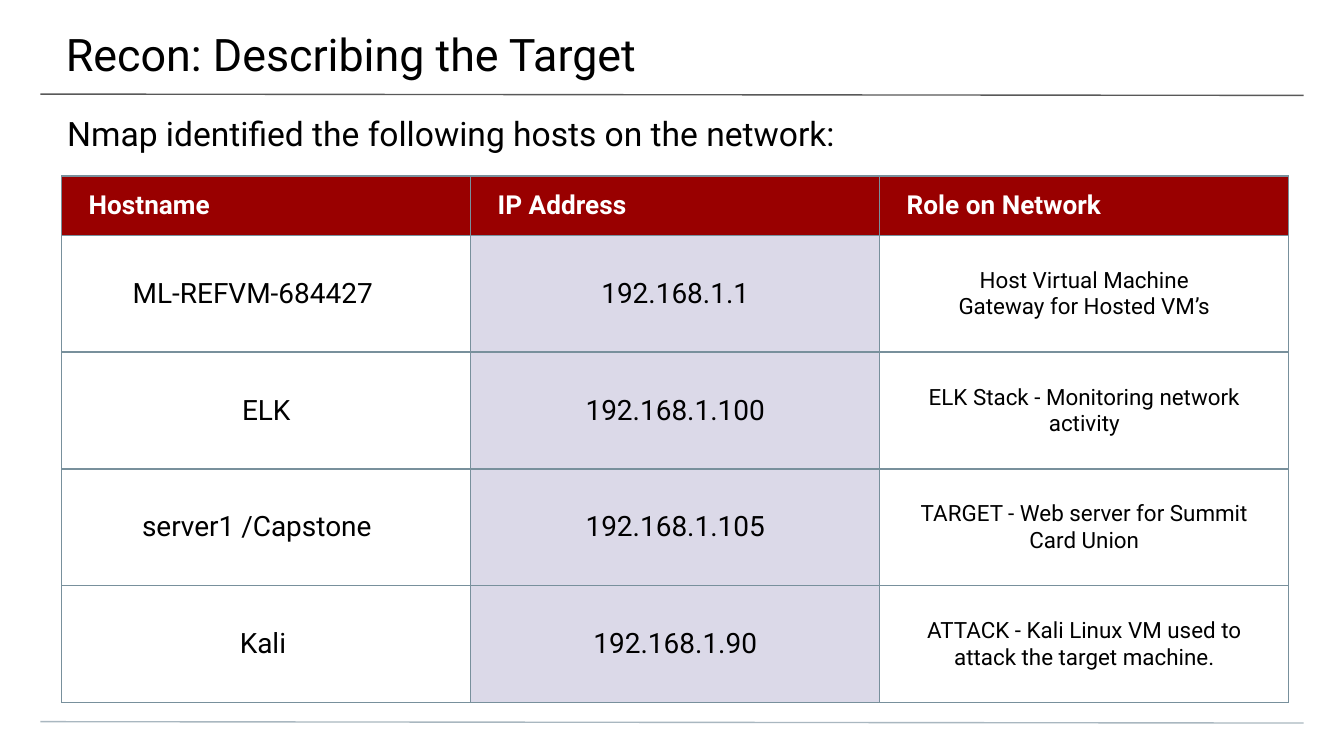
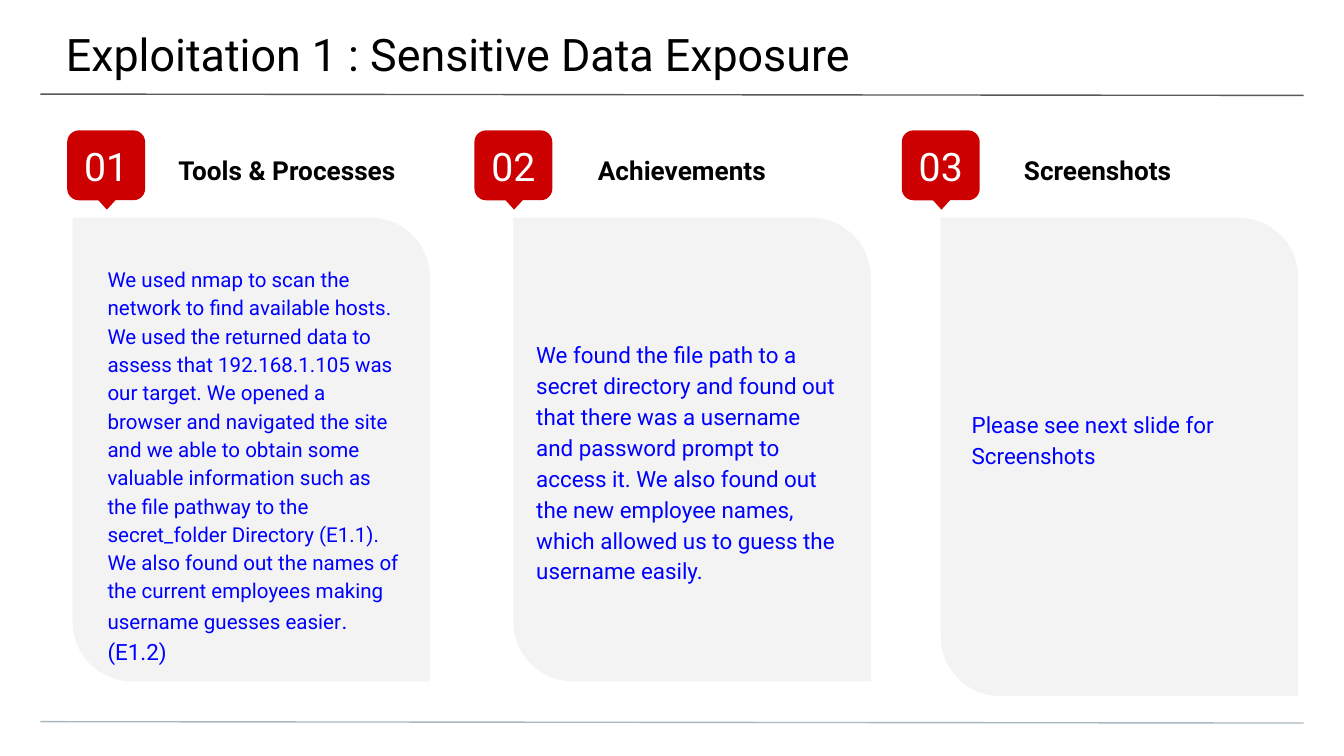
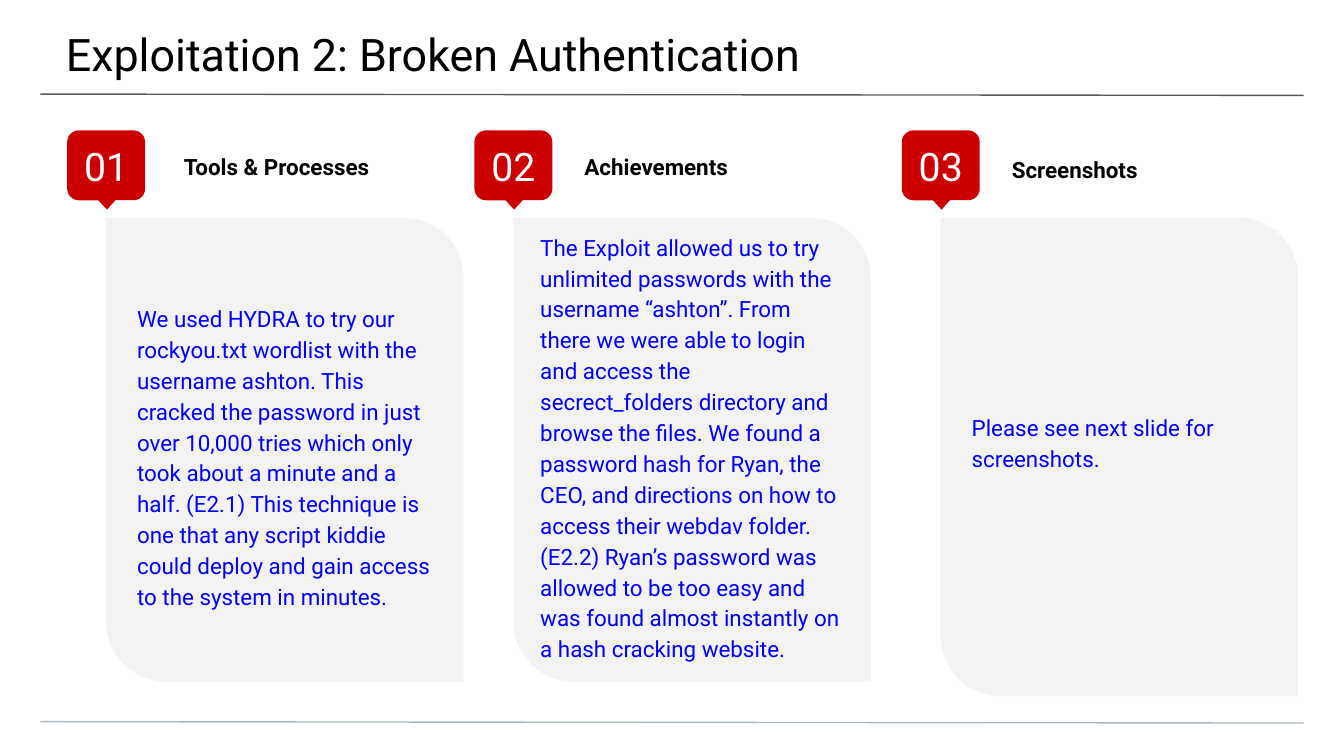
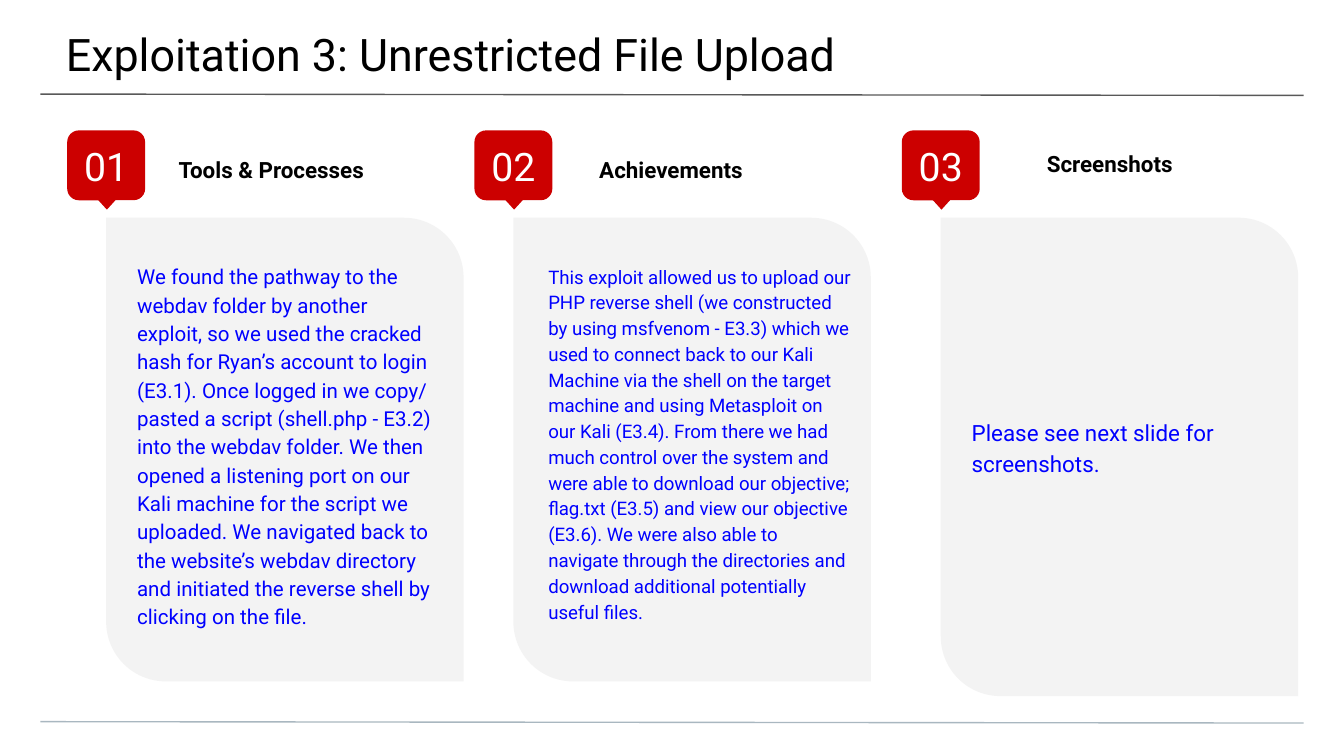
from lxml import etree
from pptx import Presentation
from pptx.dml.color import RGBColor
from pptx.enum import shapes, text
from pptx.oxml import ns
from pptx.util import Inches, Pt

FONT = "Roboto"
BLACK = RGBColor(0x00, 0x00, 0x00)
WHITE = RGBColor(0xFF, 0xFF, 0xFF)
BLUE = RGBColor(0x00, 0x00, 0xFF)
RED = RGBColor(0xCC, 0x00, 0x00)
DARK_RED = RGBColor(0x99, 0x00, 0x00)
LAVENDER = RGBColor(0xDB, 0xD9, 0xE8)
PANEL_GRAY = RGBColor(0xF3, 0xF3, 0xF3)
TITLE_RULE = RGBColor(0x59, 0x59, 0x59)
FOOTER_RULE = RGBColor(0xA9, 0xB7, 0xC0)
TABLE_BORDER = RGBColor(0x78, 0x90, 0x9C)

BADGE_LEFTS = (0.5, 3.53, 6.71)
PANEL_HEIGHTS = (3.45, 3.45, 3.56)

HOSTS = [
    ("ML-REFVM-684427", "192.168.1.1",
     "Host Virtual Machine\nGateway for Hosted VM’s", 0.4),
    ("ELK", "192.168.1.100", "ELK Stack - Monitoring network activity", 0.2),
    ("server1 /Capstone", "192.168.1.105",
     "TARGET - Web server for Summit Card Union", 0.34),
    ("Kali", "192.168.1.90",
     "ATTACK - Kali Linux VM used to attack the target machine.", 0.25),
]

EXPLOITS = [
    {
        "title": "Exploitation 1 : Sensitive Data Exposure",
        "panel_lefts": (0.54, 3.82, 7),
        "heading_size": 14,
        "headings": [(1.23, 1.05, 1.97, 0.44), (4.35, 1.05, 1.75, 0.44),
                     (7.52, 1.05, 1.75, 0.44)],
        "bodies": [
            ((0.6, 1.76, 2.59, 3.25), [
                ("We used nmap to scan the network to find available hosts. "
                 "We used the returned data to assess that 192.168.1.105 was "
                 "our target. We opened a browser and navigated the site and "
                 "we able to obtain some valuable information such as the file "
                 "pathway to the secret_folder Directory (E1.1). We also found "
                 "out the names of the current employees making username "
                 "guesses easier", 11),
                (". (E1.2)", 12)]),
            ((3.79, 2.31, 2.66, 2.06), [
                ("We found the file path to a secret directory and found out "
                 "that there was a username and password prompt to access it. "
                 "We also found out the new employee names, which allowed us "
                 "to guess the username easily.", 12)]),
            ((7.03, 2.83, 2.59, 0.82), [
                ("Please see next slide for Screenshots", 12)]),
        ],
    },
    {
        "title": "Exploitation 2: Broken Authentication",
        "panel_lefts": (0.79, 3.82, 7),
        "heading_size": 12,
        "headings": [(1.27, 1.04, 1.93, 0.4), (4.25, 1.04, 1.8, 0.4),
                     (7.43, 1.06, 1.8, 0.4)],
        "bodies": [
            ((0.82, 2.04, 2.59, 2.54), [
                ("We used HYDRA to try our rockyou.txt wordlist with the "
                 "username ashton. This cracked the password in just over "
                 "10,000 tries which only took about a minute and a half. "
                 "(E2.1) This technique is one that any script kiddie could "
                 "deploy and gain access to the system in minutes.", 12)]),
            ((3.82, 1.51, 2.66, 3.67), [
                ("The Exploit allowed us to try unlimited passwords with the "
                 "username “ashton”. From there we were able to login and "
                 "access the secrect_folders directory and browse the files. "
                 "We found a password hash for Ryan, the CEO, and directions "
                 "on how to access their webdav folder. (E2.2) Ryan’s password "
                 "was allowed to be too easy and was found almost instantly on "
                 "a hash cracking website.", 12)]),
            ((7.03, 2.85, 2.59, 0.79), [
                ("Please see next slide for screenshots.", 12)]),
        ],
    },
    {
        "title": "Exploitation 3: Unrestricted File Upload",
        "panel_lefts": (0.79, 3.82, 7),
        "heading_size": 12,
        "headings": [(1.23, 1.06, 1.71, 0.4), (4.36, 1.06, 1.29, 0.4),
                     (7.69, 1.02, 1.29, 0.4)],
        "bodies": [
            ((0.82, 1.74, 2.59, 3.45), [
                ("We found the pathway to the webdav folder by another "
                 "exploit, so we used the cracked hash for Ryan’s account to "
                 "login (E3.1). Once logged in we copy/ pasted a script "
                 "(shell.php - E3.2) into the webdav folder. We then opened a "
                 "listening port on our Kali machine for the script we "
                 "uploaded. We navigated back to the website’s webdav "
                 "directory and initiated the reverse shell by clicking on "
                 "the file.", 11)]),
            ((3.88, 1.75, 2.66, 3.29), [
                ("This exploit allowed us to upload our PHP reverse shell (we "
                 "constructed by using msfvenom - E3.3) which we used to "
                 "connect back to our Kali Machine via the shell on the target "
                 "machine and using Metasploit on our Kali (E3.4). From there "
                 "we had much control over the system and were able to "
                 "download our objective; flag.txt (E3.5) and view our "
                 "objective (E3.6). We were also able to navigate through the "
                 "directories and download additional potentially useful "
                 "files.", 10)]),
            ((7.03, 2.89, 2.59, 0.81), [
                ("Please see next slide for screenshots.", 12)]),
        ],
    },
]


def set_font(font, size, color, bold=False):
    font.name = FONT
    font.size = Pt(size)
    font.bold = bold
    font.color.rgb = color


def set_margins(target, left, top, right, bottom):
    target.margin_left = Inches(left)
    target.margin_top = Inches(top)
    target.margin_right = Inches(right)
    target.margin_bottom = Inches(bottom)


def add_text_box(page, place, margins):
    box = page.shapes.add_textbox(*map(Inches, place))
    frame = box.text_frame
    frame.word_wrap = True
    set_margins(frame, *margins)
    return frame


def add_rule(page, top, color):
    rule = page.shapes.add_connector(
        shapes.MSO_CONNECTOR.STRAIGHT,
        Inches(0.3), Inches(top), Inches(9.7), Inches(top + 0.01))
    rule.line.color.rgb = color
    rule.line.width = Pt(0.75)
    etree.SubElement(rule.element.spPr, ns.qn("a:effectLst"))


def add_page(deck, title_text):
    page = deck.slides.add_slide(deck.slide_layouts[5])
    add_rule(page, 0.7, TITLE_RULE)
    add_rule(page, 5.37, FOOTER_RULE)
    title = page.shapes.title
    title.left, title.top = Inches(-0.01), Inches(0)
    title.width, title.height = Inches(10.03), Inches(0.58)
    frame = title.text_frame
    frame.text = title_text
    frame.word_wrap = True
    frame.auto_size = text.MSO_AUTO_SIZE.NONE
    frame.vertical_anchor = text.MSO_ANCHOR.TOP
    set_margins(frame, 0.5, 0.2, 0.3, 0.1)
    para = frame.paragraphs[0]
    para.alignment = text.PP_ALIGN.LEFT
    set_font(para.font, 24, BLACK)
    return page


def add_filled_shape(container, kind, place, color):
    shape = container.shapes.add_shape(kind, *map(Inches, place))
    shape.shadow.inherit = False
    shape.fill.solid()
    shape.fill.fore_color.rgb = color
    shape.line.fill.background()
    return shape


def add_badge(page, number, left):
    badge = page.shapes.add_group_shape()
    square = add_filled_shape(badge, shapes.MSO_SHAPE.ROUNDED_RECTANGLE,
                              (left, 0.97, 0.58, 0.52), RED)
    pointer = add_filled_shape(badge, shapes.MSO_SHAPE.FLOWCHART_EXTRACT,
                               (left + 0.15, 1.4, 0.29, 0.16), RED)
    pointer.rotation = 180
    frame = square.text_frame
    frame.text = f"{number:02}"
    frame.vertical_anchor = text.MSO_ANCHOR.MIDDLE
    set_margins(frame, 0.1, 0.1, 0.1, 0.1)
    para = frame.paragraphs[0]
    para.alignment = text.PP_ALIGN.CENTER
    set_font(para.font, 21, WHITE)


def add_panel(page, left, height):
    panel = add_filled_shape(page, shapes.MSO_SHAPE.ROUND_2_DIAG_RECTANGLE,
                             (left, 1.62, 2.66, height), PANEL_GRAY)
    panel.adjustments[0] = 0
    panel.adjustments[1] = 0.167


def add_heading(page, heading, place, size):
    frame = add_text_box(page, place, (0.1, 0.1, 0.1, 0.1))
    frame.auto_size = text.MSO_AUTO_SIZE.SHAPE_TO_FIT_TEXT
    frame.text = heading
    set_font(frame.paragraphs[0].font, size, BLACK, bold=True)


def add_body(page, place, spans):
    para = add_text_box(page, place, (0.2, 0.2, 0.2, 0.2)).paragraphs[0]
    para.line_spacing = 1.15
    for words, size in spans:
        span = para.add_run()
        span.text = words
        set_font(span.font, size, BLUE)


def add_exploit_page(deck, exploit):
    page = add_page(deck, exploit["title"])
    names = ("Tools & Processes", "Achievements", "Screenshots")
    for column, name in enumerate(names):
        add_panel(page, exploit["panel_lefts"][column], PANEL_HEIGHTS[column])
        add_badge(page, column + 1, BADGE_LEFTS[column])
        add_body(page, *exploit["bodies"][column])
        add_heading(page, name, exploit["headings"][column],
                    exploit["heading_size"])


def set_borders(cell):
    properties = cell._tc.get_or_add_tcPr()
    for side in ("a:lnL", "a:lnR", "a:lnT", "a:lnB"):
        border = etree.SubElement(properties, ns.qn(side), w=str(Pt(0.75)))
        fill = etree.SubElement(border, ns.qn("a:solidFill"))
        etree.SubElement(fill, ns.qn("a:srgbClr"), val=str(TABLE_BORDER))


def fill_cell(cell, words, size, color, fill=None, bold=False,
              align=text.PP_ALIGN.CENTER, right_margin=0.2):
    set_borders(cell)
    if fill is None:
        cell.fill.background()
    else:
        cell.fill.solid()
        cell.fill.fore_color.rgb = fill
    cell.vertical_anchor = text.MSO_ANCHOR.MIDDLE
    set_margins(cell, 0.2, 0.1, right_margin, 0.1)
    cell.text_frame.text = words
    for para in cell.text_frame.paragraphs:
        para.alignment = align
        set_font(para.font, size, color, bold)


def add_host_table(page):
    table = page.shapes.add_table(
        len(HOSTS) + 1, 3, Inches(0.46), Inches(1.31),
        Inches(9.13), Inches(3.92)).table
    table.first_row = False
    table.horz_banding = False
    for column in table.columns:
        column.width = Inches(9.13 / 3)
    for index, row in enumerate(table.rows):
        row.height = Inches(0.87 if index else 0.44)
    for index, name in enumerate(("Hostname", "IP Address", "Role on Network")):
        fill_cell(table.cell(0, index), name, 14, WHITE, DARK_RED, True,
                  text.PP_ALIGN.LEFT)
    for index, (host, address, role, margin) in enumerate(HOSTS, 1):
        fill_cell(table.cell(index, 0), host, 15, BLACK, right_margin=margin)
        fill_cell(table.cell(index, 1), address, 15, BLACK, LAVENDER)
        fill_cell(table.cell(index, 2), role, 12, BLACK)


def add_recon_page(deck):
    page = add_page(deck, "Recon: Describing the Target")
    frame = add_text_box(page, (0, 0.74, 10, 0.4), (0.5, 0.1, 0.5, 0))
    frame.text = "Nmap identified the following hosts on the network:"
    set_font(frame.paragraphs[0].font, 18, BLACK)
    add_host_table(page)


def main():
    deck = Presentation()
    deck.slide_width = Inches(10)
    deck.slide_height = Inches(10 * 9 / 16)
    add_recon_page(deck)
    for exploit in EXPLOITS:
        add_exploit_page(deck, exploit)
    deck.save("out.pptx")


if __name__ == "__main__":
    main()
